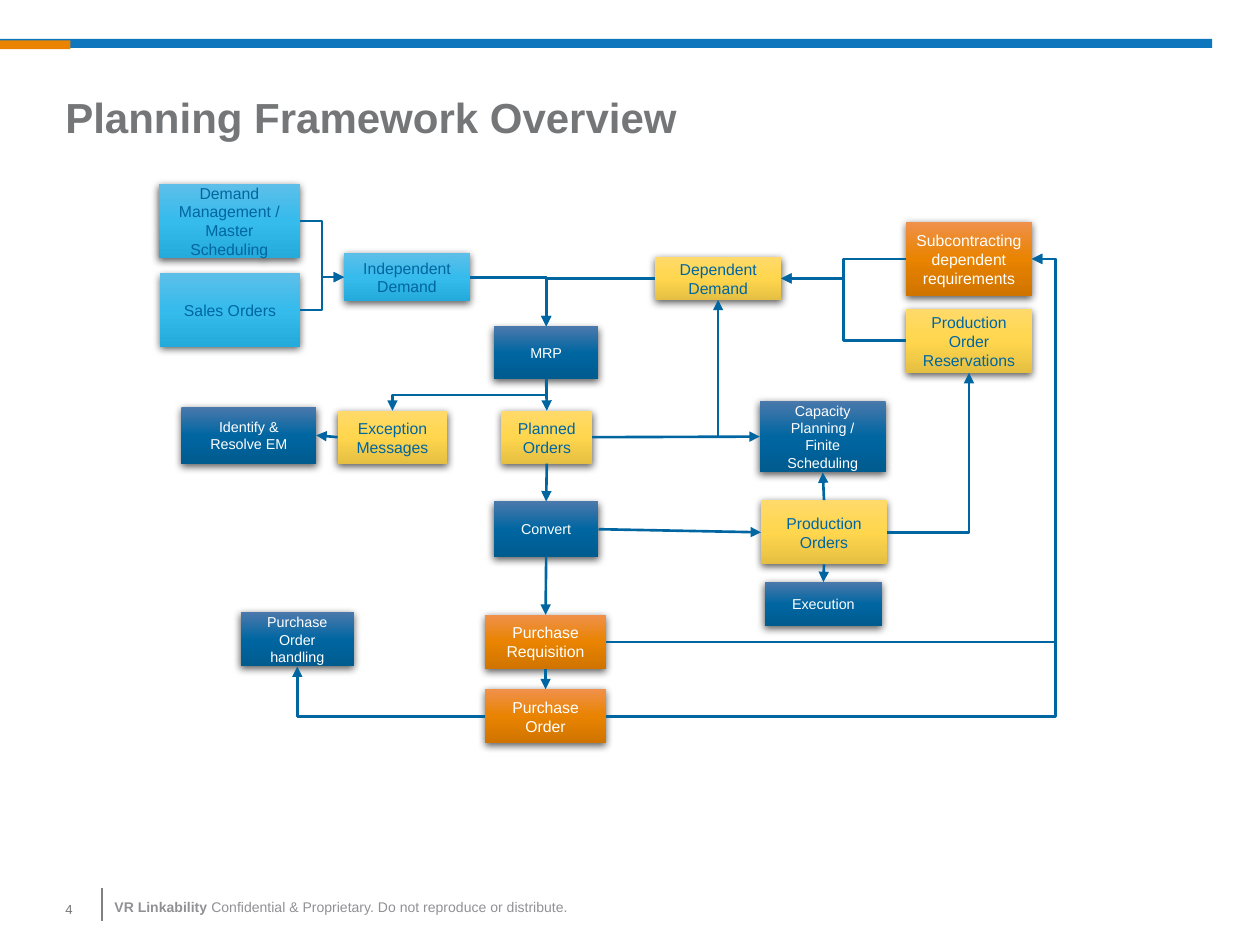
from copy import deepcopy

from pptx import Presentation
from pptx.dml.color import RGBColor
from pptx.enum.shapes import MSO_CONNECTOR, MSO_SHAPE
from pptx.enum.text import MSO_ANCHOR, PP_ALIGN
from pptx.oxml import parse_xml
from pptx.oxml.ns import nsdecls, qn
from pptx.util import Inches, Pt

PROCESS = MSO_SHAPE.FLOWCHART_PROCESS
PREDEFINED = MSO_SHAPE.FLOWCHART_PREDEFINED_PROCESS
RECTANGLE = MSO_SHAPE.RECTANGLE
STRAIGHT, ELBOW = MSO_CONNECTOR.STRAIGHT, MSO_CONNECTOR.ELBOW
TOP, MIDDLE = MSO_ANCHOR.TOP, MSO_ANCHOR.MIDDLE
CENTER = PP_ALIGN.CENTER
NORTH, WEST, SOUTH, EAST = range(4)

WHITE = RGBColor(0xFF, 0xFF, 0xFF)
BLUE = RGBColor(0x00, 0x66, 0xA1)
BAR_BLUE = RGBColor(0x0E, 0x76, 0xBC)
ORANGE = RGBColor(0xE9, 0x83, 0x00)
GRAY = RGBColor(0x74, 0x76, 0x78)
FOOTER_GRAY = RGBColor(0x91, 0x91, 0x95)
RULE_GRAY = RGBColor(0x80, 0x80, 0x80)
SKY_STOPS = (RGBColor(0x5D, 0xBF, 0xE9), RGBColor(0x35, 0xBB, 0xEC), RGBColor(0x25, 0xAA, 0xDC))
YELLOW_STOPS = (RGBColor(0xFF, 0xDA, 0x6A), RGBColor(0xFF, 0xD6, 0x4D), RGBColor(0xE5, 0xBF, 0x42))
ORANGE_STOPS = (RGBColor(0xEF, 0x91, 0x4B), ORANGE, RGBColor(0xCF, 0x74, 0x00))
NAVY_STOPS = (RGBColor(0x4B, 0x79, 0xAC), BLUE, RGBColor(0x00, 0x5B, 0x8F))

DEMAND = (PROCESS, SKY_STOPS, BLUE, 9)
PLANNING = (PROCESS, YELLOW_STOPS, BLUE, 9)
PURCHASING = (PROCESS, ORANGE_STOPS, WHITE, 9)
ACTIVITY = (PREDEFINED, NAVY_STOPS, WHITE, 8.2)

STEPS = [
    ("Demand Management / Master Scheduling", 0, 0, 1.12, 0.59, DEMAND),
    ("Sales Orders", 0.01, 0.71, 1.11, 0.58, DEMAND),
    ("Independent Demand", 1.47, 0.55, 1, 0.38, DEMAND),
    ("Dependent Demand", 3.94, 0.58, 1, 0.34, PLANNING),
    ("Subcontracting dependent requirements", 5.93, 0.3, 1, 0.59, PURCHASING),
    ("Production Order Reservations", 5.93, 0.99, 1, 0.51, PLANNING),
    ("MRP", 2.66, 1.13, 0.83, 0.42, ACTIVITY),
    ("Identify & Resolve EM", 0.18, 1.77, 1.07, 0.45, ACTIVITY),
    ("Exception Messages", 1.42, 1.8, 0.87, 0.42, PLANNING),
    ("Planned Orders", 2.72, 1.8, 0.72, 0.42, PLANNING),
    ("Capacity Planning / Finite Scheduling", 4.77, 1.72, 1, 0.57, ACTIVITY),
    ("Convert", 2.66, 2.52, 0.83, 0.44, ACTIVITY),
    ("Production Orders", 4.78, 2.51, 1, 0.51, PLANNING),
    ("Execution", 4.81, 3.16, 0.93, 0.35, ACTIVITY),
    ("Purchase Order handling", 0.65, 3.4, 0.9, 0.43, ACTIVITY),
    ("Purchase Requisition", 2.59, 3.42, 0.96, 0.43, PURCHASING),
    ("Purchase Order", 2.59, 4.01, 0.96, 0.43, PURCHASING),
]

STRAIGHT_FLOWS = [
    ("MRP", SOUTH, "Planned Orders", NORTH),
    ("Exception Messages", WEST, "Identify & Resolve EM", EAST),
    ("Planned Orders", EAST, "Capacity Planning / Finite Scheduling", WEST),
    ("Planned Orders", SOUTH, "Convert", NORTH),
    ("Convert", EAST, "Production Orders", WEST),
    ("Convert", SOUTH, "Purchase Requisition", NORTH),
    ("Production Orders", NORTH, "Capacity Planning / Finite Scheduling", SOUTH),
    ("Production Orders", SOUTH, "Execution", NORTH),
    ("Purchase Requisition", SOUTH, "Purchase Order", NORTH),
]

STEPPED_FLOWS = [
    ("Demand Management / Master Scheduling", EAST, "Independent Demand", WEST),
    ("Sales Orders", EAST, "Independent Demand", WEST),
    ("Subcontracting dependent requirements", WEST, "Dependent Demand", EAST),
    ("Production Order Reservations", WEST, "Dependent Demand", EAST),
]

CORNER_FLOWS = [
    ("Independent Demand", EAST, "MRP", NORTH),
    ("Dependent Demand", WEST, "MRP", NORTH),
    ("Planned Orders", EAST, "Dependent Demand", SOUTH),
    ("Production Orders", EAST, "Production Order Reservations", SOUTH),
    ("Purchase Order", WEST, "Purchase Order handling", SOUTH),
]


def format_runs(paragraph, size, color, bold=False):
    for run in paragraph.runs:
        run.font.name = "Arial"
        run.font.size = Pt(size)
        run.font.color.rgb = color
        run.font.bold = bold


def add_label(slide, left, top, width, height, text, size, color, bold=False, anchor=TOP, wrap=True):
    frame = slide.shapes.add_textbox(left, top, width, height).text_frame
    frame.word_wrap = wrap
    frame.vertical_anchor = anchor
    paragraph = frame.paragraphs[0]
    paragraph.text = text
    format_runs(paragraph, size, color, bold)
    return paragraph


def style_line(connector, color):
    connector.line.color.rgb = color
    connector.line.width = Pt(1.5)
    connector._element.spPr.append(parse_xml(f"<a:effectLst {nsdecls('a')}/>"))


def add_header(slide, left, top, width):
    for offset, length, color in ((0, width, BAR_BLUE), (Inches(0.01), Inches(0.56), ORANGE)):
        bar = slide.shapes.add_shape(RECTANGLE, left, top + offset, length, Inches(0.07))
        bar.shadow.inherit = False
        bar.fill.solid()
        bar.fill.fore_color.rgb = color
        bar.line.fill.background()


def add_title(slide, left, top, width, height):
    title = add_label(slide, left, top, width, height, "Planning Framework Overview", 24, GRAY, True)
    title.line_spacing = 0.9


def add_footer(slide, left, top):
    divider_x = left + Inches(0.39)
    divider = slide.shapes.add_connector(
        STRAIGHT, divider_x, top + Inches(0.03), divider_x, top + Inches(0.29))
    style_line(divider, RULE_GRAY)
    add_label(slide, left, top, Inches(0.39), Inches(0.4), "4", 7.5, GRAY, anchor=MIDDLE)
    notice = add_label(slide, divider_x, top + Inches(0.06), Inches(3.96), Inches(0.24),
                       "VR Linkability", 8, FOOTER_GRAY, wrap=False)
    notice.add_run().text = " Confidential & Proprietary. Do not reproduce or distribute."
    format_runs(notice, 8, FOOTER_GRAY)
    notice.runs[0].font.bold = True


def add_step(slide, left, top, width, height, text, style):
    outline, stops, text_color, size = style
    step = slide.shapes.add_shape(outline, left, top, width, height)
    step.fill.gradient()
    stop_list = step._element.spPr.find(f".//{qn('a:gsLst')}")
    stop_list.append(deepcopy(stop_list[-1]))
    for stop, color, position in zip(step.fill.gradient_stops, stops, (0, 0.5, 1)):
        stop.color.rgb = color
        stop.position = position
    step.fill.gradient_angle = 270
    step.line.fill.background()
    step.shadow.inherit = False
    step._element.spPr.find(qn("a:effectLst")).append(parse_xml(
        f"<a:outerShdw {nsdecls('a')} blurRad='{Pt(4.5)}' dist='{Pt(1.5)}' dir='5400000' rotWithShape='0'>"
        "<a:srgbClr val='000000'><a:alpha val='63000'/></a:srgbClr></a:outerShdw>"))
    frame = step.text_frame
    frame.word_wrap = True
    frame.vertical_anchor = MIDDLE
    frame.margin_left = frame.margin_right = Inches(0.07)
    frame.margin_top = frame.margin_bottom = Inches(0.04)
    frame.text = text
    frame.paragraphs[0].alignment = CENTER
    format_runs(frame.paragraphs[0], size, text_color)
    return step


def add_flow(slide, steps, kind, source, source_side, target, target_side):
    flow = slide.shapes.add_connector(kind, 0, 0, 0, 0)
    flow.begin_connect(steps[source], source_side)
    flow.end_connect(steps[target], target_side)
    style_line(flow, BLUE)
    flow.line._get_or_add_ln().append(parse_xml(f"<a:tailEnd {nsdecls('a')} type='triangle'/>"))
    return flow


def turn_downward(flow):
    center_x, center_y = flow.left + flow.width // 2, flow.top + flow.height // 2
    flow.width, flow.height = flow.height, flow.width
    flow.left, flow.top = center_x - flow.width // 2, center_y - flow.height // 2
    xfrm = flow._element.spPr.find(qn("a:xfrm"))
    xfrm.attrib.pop("flipH", None)
    xfrm.set("rot", "5400000")


def add_flowchart(slide, left, top):
    steps = {
        text: add_step(slide, left + Inches(x), top + Inches(y), Inches(width), Inches(height), text, style)
        for text, x, y, width, height, style in STEPS
    }
    for ends in STRAIGHT_FLOWS:
        add_flow(slide, steps, STRAIGHT, *ends)
    for ends in STEPPED_FLOWS:
        add_flow(slide, steps, ELBOW, *ends)
    for ends in CORNER_FLOWS:
        corner = add_flow(slide, steps, ELBOW, *ends)
        corner._element.spPr.find(qn("a:prstGeom")).set("prst", "bentConnector2")
    for source in ("Purchase Requisition", "Purchase Order"):
        detour = add_flow(slide, steps, ELBOW, source, EAST, "Subcontracting dependent requirements", EAST)
        detour._element.spPr.find(f".//{qn('a:avLst')}").append(
            parse_xml(f"<a:gd {nsdecls('a')} name='adj1' fmla='val 105500'/>"))
    turn_downward(add_flow(slide, steps, ELBOW, "MRP", SOUTH, "Exception Messages", NORTH))


def main():
    deck = Presentation()
    deck.slide_width, deck.slide_height = Inches(10), Inches(7.5)
    slide = deck.slides.add_slide(deck.slide_layouts[6])
    add_header(slide, 0, Inches(0.31), Inches(9.62))
    add_title(slide, Inches(0.42), Inches(0.72), Inches(9.15), Inches(0.65))
    add_flowchart(slide, Inches(1.26), Inches(1.46))
    add_footer(slide, Inches(0.42), Inches(7.02))
    deck.save("out.pptx")


if __name__ == "__main__":
    main()
